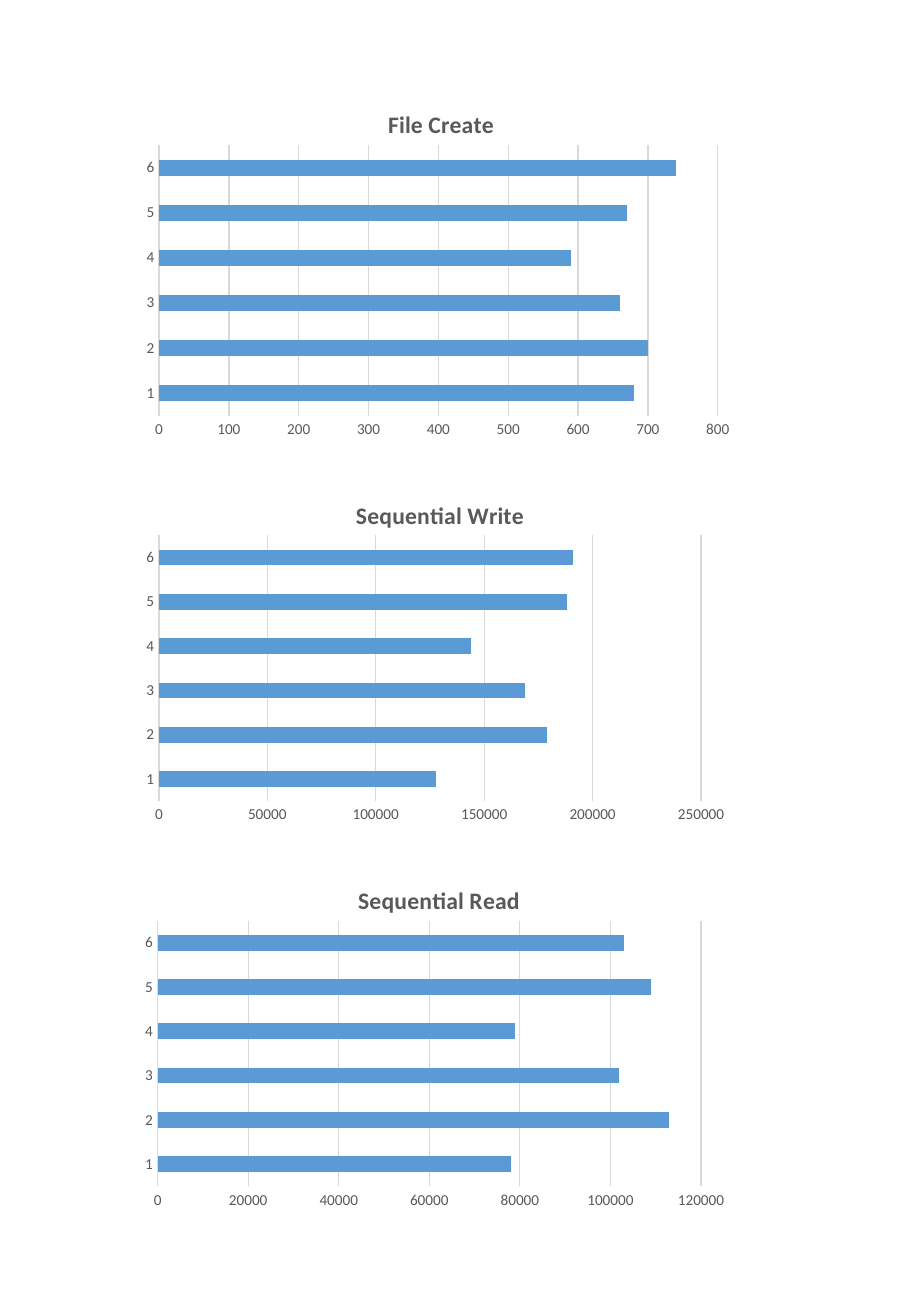
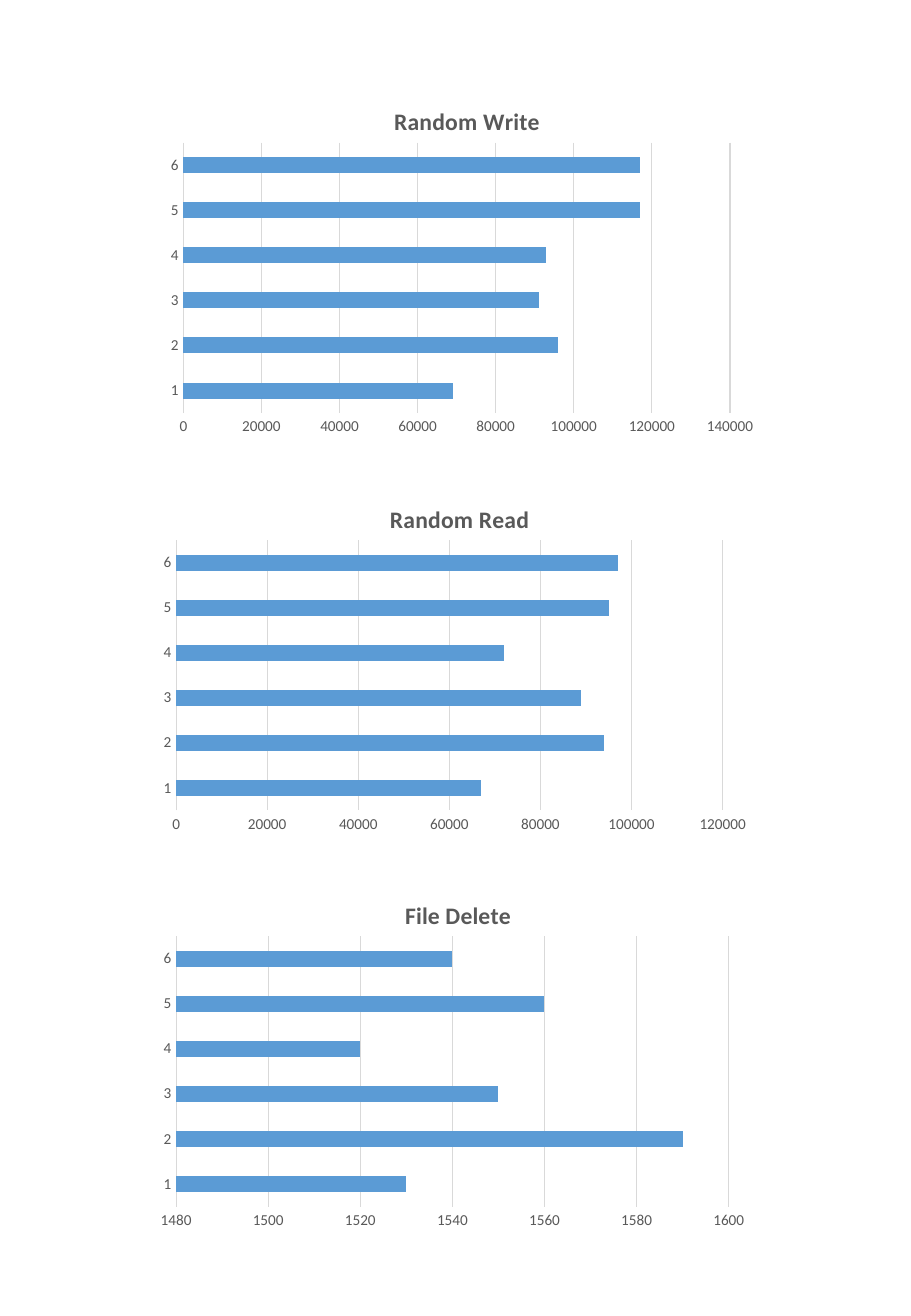
"""Two pages of file benchmark bar charts."""
from dataclasses import dataclass

from lxml import etree
from pptx import Presentation
from pptx.chart.axis import ValueAxis
from pptx.chart.chart import Chart
from pptx.chart.data import CategoryChartData
from pptx.dml.color import RGBColor
from pptx.enum.chart import XL_CHART_TYPE, XL_TICK_MARK
from pptx.oxml import parse_xml
from pptx.oxml.ns import nsdecls, qn
from pptx.slide import Slide
from pptx.text.text import Font
from pptx.util import Inches, Pt

BAR_CLUSTERED = XL_CHART_TYPE.BAR_CLUSTERED
NO_TICK = XL_TICK_MARK.NONE

BAR_BLUE = RGBColor(0x5B, 0x9B, 0xD5)
TEXT_GREY = RGBColor(0x59, 0x59, 0x59)
LINE_GREY = RGBColor(0xD9, 0xD9, 0xD9)
BLACK = RGBColor(0, 0, 0)

FONT_NAME = "Calibri"
CHART_FONT = {"name": FONT_NAME, "size": Pt(10)}
AXIS_FONT = {"name": FONT_NAME, "size": Pt(9), "bold": False}
TITLE_FONT = {"name": FONT_NAME, "size": Pt(14), "bold": True}
AXIS_TICKS = {"major_tick_mark": NO_TICK, "minor_tick_mark": NO_TICK}

CATEGORIES = ("1", "2", "3", "4", "5", "6")
TITLE_TOP = 0.06
PLOT_LEFT, PLOT_TOP, PLOT_HEIGHT = 0.04, 0.175, 0.742


@dataclass(frozen=True)
class Benchmark:
    """One chart: title, place in inches, value scale and inner proportions."""

    title: str
    left: float
    top: float
    values: tuple[int, ...]
    maximum: int
    step: int
    title_left: float
    minimum: int = 0
    width: float = 5
    height: float = 3
    plot_width: float = 0.9


PAGES = (
    (
        Benchmark("File Create", 1.11, 0.67, (680, 700, 660, 590, 670, 740),
                  800, 100, 0.41, plot_width=0.92),
        Benchmark("Sequential Write", 1.11, 3.89,
                  (128000, 179000, 169000, 144000, 188000, 191000),
                  250000, 50000, 0.36, width=4.96, height=2.95),
        Benchmark("Sequential Read", 1.1, 7.06,
                  (78000, 113000, 102000, 79000, 109000, 103000),
                  120000, 20000, 0.365, width=4.97, height=2.95),
    ),
    (
        Benchmark("Random Write", 1.31, 0.65,
                  (69000, 96000, 91000, 93000, 117000, 117000),
                  140000, 20000, 0.38),
        Benchmark("Random Read", 1.25, 3.92,
                  (67000, 94000, 89000, 72000, 95000, 97000),
                  120000, 20000, 0.385),
        Benchmark("File Delete", 1.25, 7.18,
                  (1530, 1590, 1550, 1520, 1560, 1540),
                  1600, 20, 0.41, minimum=1480, plot_width=0.91),
    ),
)


def apply_format(target: object, values: dict[str, object]) -> None:
    """Set every attribute listed in values on target."""
    for name, value in values.items():
        setattr(target, name, value)


def style_font(font: Font, values: dict[str, object], color: RGBColor) -> None:
    """Apply font values and a solid colour."""
    apply_format(font, values)
    font.color.rgb = color


def set_layout(parent: etree._Element, index: int, **fractions: float) -> None:
    """Place a chart part by fractions of the chart size."""
    for old_layout in parent.findall(qn("c:layout")):
        parent.remove(old_layout)
    target = '<c:layoutTarget val="inner"/>' if "w" in fractions else ""
    modes = "".join(f'<c:{key}Mode val="edge"/>' for key in ("x", "y"))
    sizes = "".join(f'<c:{key} val="{value}"/>' for key, value in fractions.items())
    parent.insert(index, parse_xml(
        f'<c:layout {nsdecls("c")}><c:manualLayout>{target}{modes}{sizes}'
        "</c:manualLayout></c:layout>"))


def add_title(chart: Chart, benchmark: Benchmark) -> None:
    """Write the bold chart title above the plot."""
    paragraph = chart.chart_title.text_frame.paragraphs[0]
    run = paragraph.add_run()
    run.text = benchmark.title
    style_font(run.font, TITLE_FONT, TEXT_GREY)
    title = chart.element.xpath("c:chart/c:title")[0]
    set_layout(title, 1, x=benchmark.title_left, y=TITLE_TOP)


def style_value_axis(axis: ValueAxis, benchmark: Benchmark) -> None:
    """Set the scale and gridlines of the value axis."""
    apply_format(axis, {
        "minimum_scale": benchmark.minimum,
        "maximum_scale": benchmark.maximum,
        "major_unit": benchmark.step,
        "has_major_gridlines": True,
    })
    axis.format.line.fill.background()
    gridline = axis.major_gridlines.format.line
    gridline.width = Pt(0.75)
    gridline.color.rgb = LINE_GREY


def add_benchmark(slide: Slide, benchmark: Benchmark) -> None:
    """Draw one benchmark as a bar chart."""
    chart_data = CategoryChartData()
    chart_data.categories = CATEGORIES
    chart_data.add_series("Series 1", benchmark.values)
    chart = slide.shapes.add_chart(
        BAR_CLUSTERED, Inches(benchmark.left), Inches(benchmark.top),
        Inches(benchmark.width), Inches(benchmark.height), chart_data).chart
    chart.has_legend = False
    style_font(chart.font, CHART_FONT, BLACK)
    add_title(chart, benchmark)

    for axis in (chart.category_axis, chart.value_axis):
        apply_format(axis, AXIS_TICKS)
        style_font(axis.tick_labels.font, AXIS_FONT, TEXT_GREY)
    category_line = chart.category_axis.format.line
    category_line.width = Pt(0.75)
    category_line.color.rgb = LINE_GREY
    style_value_axis(chart.value_axis, benchmark)

    plot = chart.plots[0]
    apply_format(plot, {"gap_width": 182, "vary_by_categories": False})
    fill = plot.series[0].format.fill
    fill.solid()
    fill.fore_color.rgb = BAR_BLUE
    plot_area = chart.element.xpath("c:chart/c:plotArea")[0]
    set_layout(plot_area, 0, x=PLOT_LEFT, y=PLOT_TOP,
               w=benchmark.plot_width, h=PLOT_HEIGHT)


def main() -> None:
    """Build and save the presentation."""
    presentation = Presentation()
    presentation.slide_width = Inches(7.5)
    presentation.slide_height = Inches(10.83)
    blank_layout = presentation.slide_layouts[6]
    for benchmarks in PAGES:
        slide = presentation.slides.add_slide(blank_layout)
        for benchmark in benchmarks:
            add_benchmark(slide, benchmark)
    presentation.save("out.pptx")


main()
